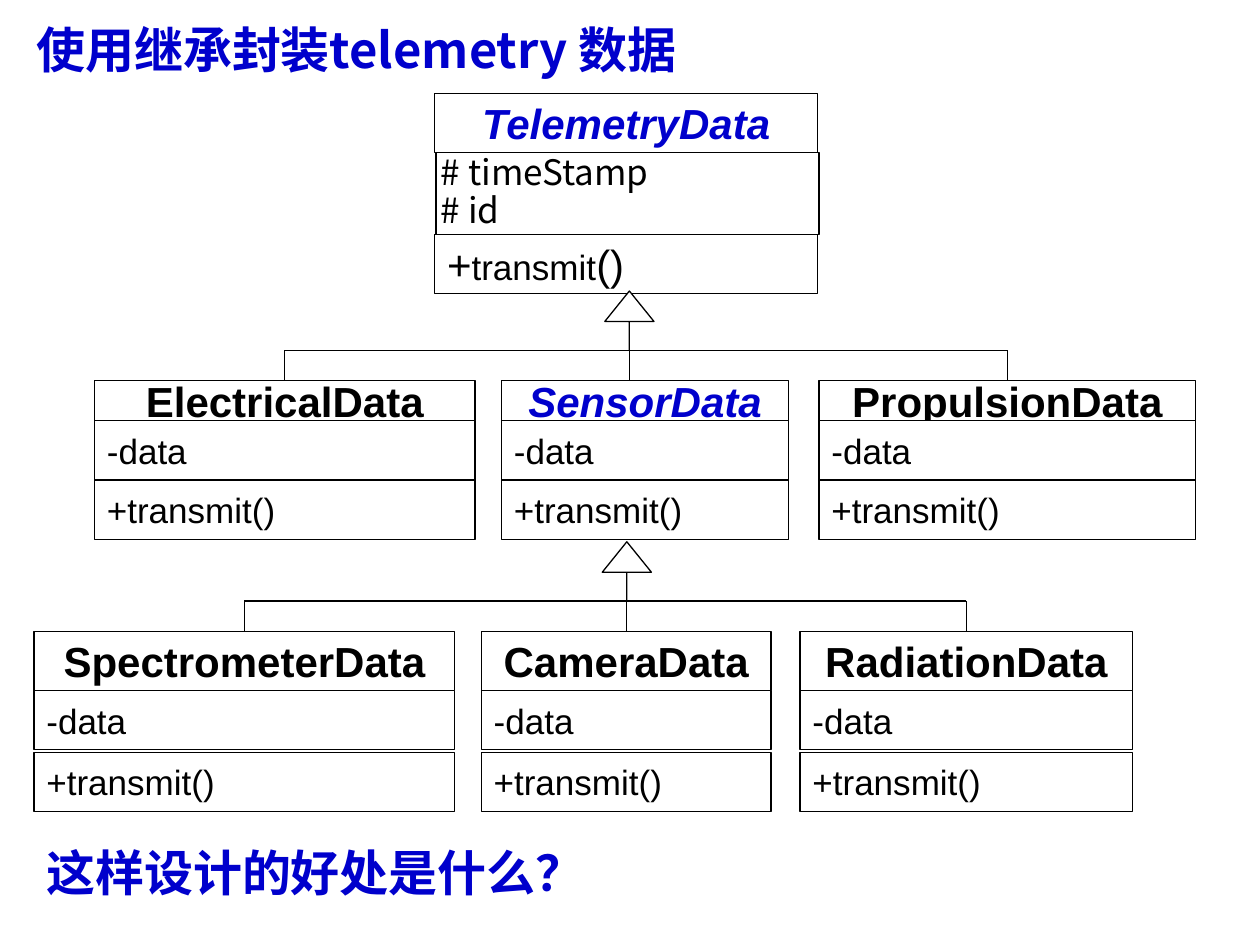
from lxml.etree import SubElement
from pptx import Presentation
from pptx.dml.color import RGBColor
from pptx.enum.shapes import MSO_CONNECTOR, MSO_SHAPE
from pptx.enum.text import MSO_ANCHOR, PP_ALIGN
from pptx.oxml.ns import qn
from pptx.util import Inches, Pt

COLORS = {"ink": "000000", "blue": "0000CC", "paper": "FFFFFF"}
LATIN = "Arial"
HAN = "Noto Sans CJK SC"
ROW = 0.47


def color(name):
    return RGBColor.from_string(COLORS[name])


def style(run, size, face=LATIN, tint="ink", bold=False, italic=False):
    font = run.font
    font.name, font.size = face, Pt(size)
    font.bold, font.italic = bold, italic
    font.color.rgb = color(tint)
    SubElement(run._r.rPr, qn("a:ea")).set("typeface", face)


def outline(shape):
    shape.shadow.inherit = False
    shape.fill.solid()
    shape.fill.fore_color.rgb = color("paper")
    shape.line.color.rgb = color("ink")
    shape.line.width = Pt(0.75)


def add_cell(slide, x, y, w, h):
    """Draw one compartment of a class box, with its text left and centred in height."""
    cell = slide.shapes.add_shape(
        MSO_SHAPE.RECTANGLE, Inches(x), Inches(y), Inches(w), Inches(h))
    outline(cell)
    frame = cell.text_frame
    frame.word_wrap = False
    frame.vertical_anchor = MSO_ANCHOR.MIDDLE
    frame.paragraphs[0].alignment = PP_ALIGN.LEFT
    return cell


def add_head(slide, name, x, y, w, h, abstract=False):
    cell = add_cell(slide, x, y, w, h)
    para = cell.text_frame.paragraphs[0]
    para.text = name
    para.alignment = PP_ALIGN.CENTER
    style(para.runs[0], 24, tint="blue" if abstract else "ink",
          bold=True, italic=abstract)
    return cell


def add_member(slide, parts, x, y, w):
    """Add a row whose text is a list of (text, size) parts."""
    para = add_cell(slide, x, y, w, ROW).text_frame.paragraphs[0]
    for text, size in parts:
        run = para.add_run()
        run.text = text
        style(run, size)


def add_fields(slide, lines, x, y, w, h):
    frame = add_cell(slide, x, y, w, h).text_frame
    frame.margin_left = frame.margin_right = Inches(0.04)
    frame.margin_top = frame.margin_bottom = Inches(0.04)
    frame.text = "\n".join(lines)
    for para in frame.paragraphs:
        para.alignment = PP_ALIGN.LEFT
        para.line_spacing = 0.9
        style(para.runs[0], 20, HAN)


def add_class(slide, name, x, w, top, head, gap=0, abstract=False):
    """Draw a class with one field and one method; return its head."""
    cell = add_head(slide, name, x, top, w, head, abstract)
    field = top + head
    add_member(slide, [("-data", 20)], x, field, w)
    add_member(slide, [("+transmit()", 20)], x, field + ROW + gap, w)
    return cell


def add_line(slide, start, end):
    points = [Inches(n) for n in (*start, *end)]
    line = slide.shapes.add_connector(MSO_CONNECTOR.STRAIGHT, *points)
    line.line.color.rgb = color("ink")
    line.line.width = Pt(0.75)
    SubElement(line._element.spPr, qn("a:effectLst"))
    return line


def add_tree(slide, heads, x, y):
    """Join the heads to a hollow arrow at x, y that points to their parent."""
    wide, tall = 0.39, 0.47
    arrow = slide.shapes.add_shape(
        MSO_SHAPE.UP_ARROW, Inches(x), Inches(y), Inches(wide), Inches(tall))
    arrow.adjustments[0], arrow.adjustments[1] = 0, 0.62
    outline(arrow)
    hub, bar = x + wide / 2, y + tall
    mids = [(head.left + head.width / 2) / Inches(1) for head in heads]
    add_line(slide, (mids[0], bar), (mids[-1], bar))
    for head, mid in zip(heads, mids):
        top = head.top / Inches(1)
        under = head.left < Inches(hub) < head.left + head.width
        if under and abs(mid - hub) > 0.05:
            add_line(slide, (hub, bar), (hub, top))
        else:
            add_line(slide, (mid, bar), (mid, top)).end_connect(head, 0)


def add_note(slide, text, x, y, w, h, space=1.0):
    frame = slide.shapes.add_textbox(
        Inches(x), Inches(y), Inches(w), Inches(h)).text_frame
    frame.word_wrap = True
    frame.text = text
    para = frame.paragraphs[0]
    para.line_spacing = space
    style(para.runs[0], 28, HAN, "blue", bold=True)


def main():
    deck = Presentation()
    deck.slide_width, deck.slide_height = Inches(10), Inches(7.5)
    slide = deck.slides.add_slide(deck.slide_layouts[6])

    add_note(slide, "使用继承封装telemetry 数据", 0.19, 0.16, 7.8, 0.52, 0.9)

    add_head(slide, "TelemetryData", 3.45, 0.74, 3.04, ROW, abstract=True)
    add_member(slide, [("+", 24), ("transmit", 20), ("()", 24)], 3.45, 1.86, 3.04)
    add_fields(slide, ["# timeStamp", "# id"], 3.46, 1.21, 3.04, 0.65)

    kinds = [("ElectricalData", 0.75, 3.02, False),
             ("SensorData", 3.98, 2.28, True),
             ("PropulsionData", 6.5, 2.99, False)]
    heads = [add_class(slide, name, x, w, 3.02, 0.32, abstract=abstract)
             for name, x, w, abstract in kinds]
    add_tree(slide, heads, 4.8, 2.31)

    sensors = [("SpectrometerData", 0.27, 3.34),
               ("CameraData", 3.82, 2.3),
               ("RadiationData", 6.35, 2.64)]
    heads = [add_class(slide, name, x, w, 5.01, ROW, gap=0.02)
             for name, x, w in sensors]
    add_tree(slide, heads, 4.78, 4.3)

    add_note(slide, "这样设计的好处是什么？", 0.27, 6.64, 4.9, 0.57)
    deck.save("out.pptx")


if __name__ == "__main__":
    main()
